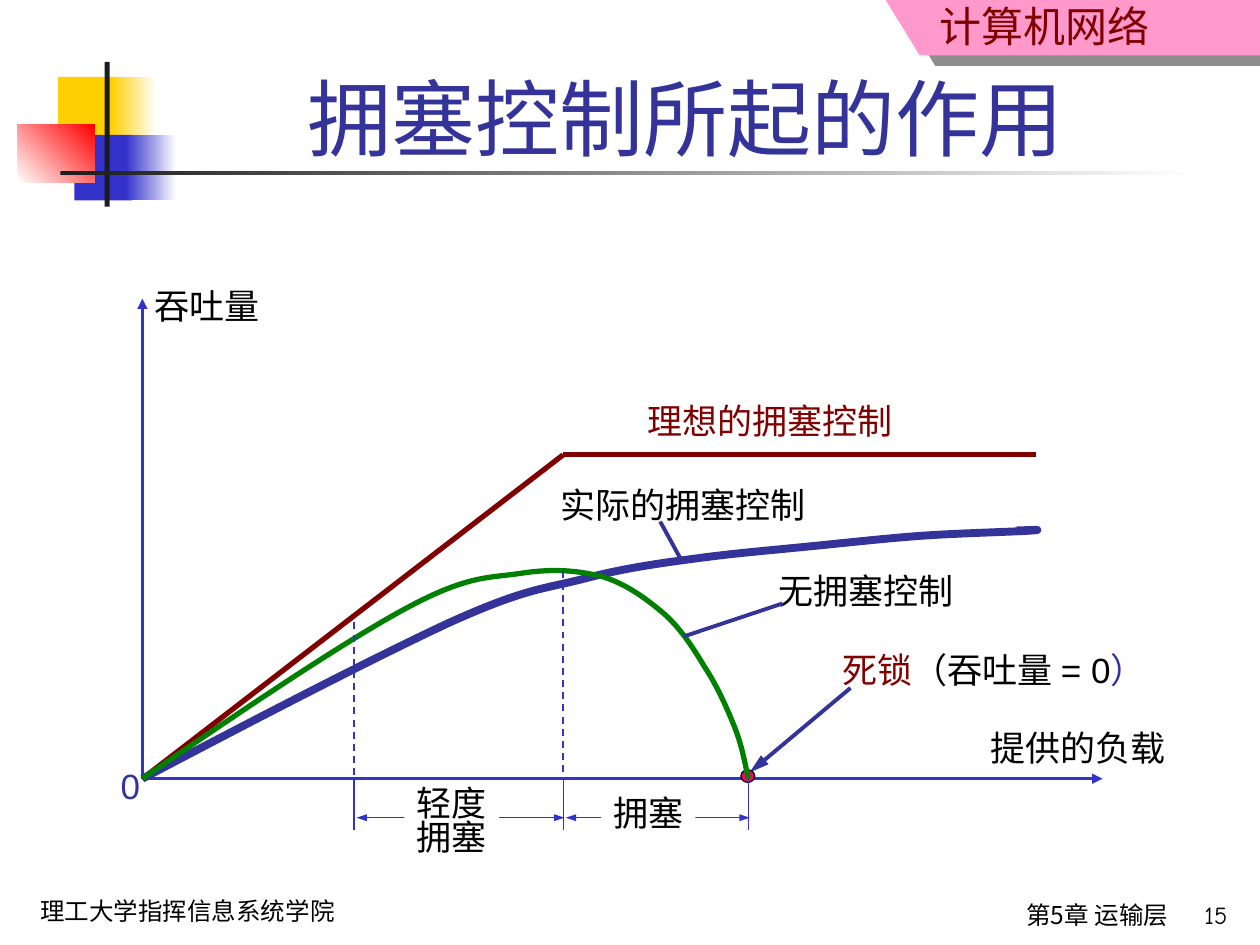
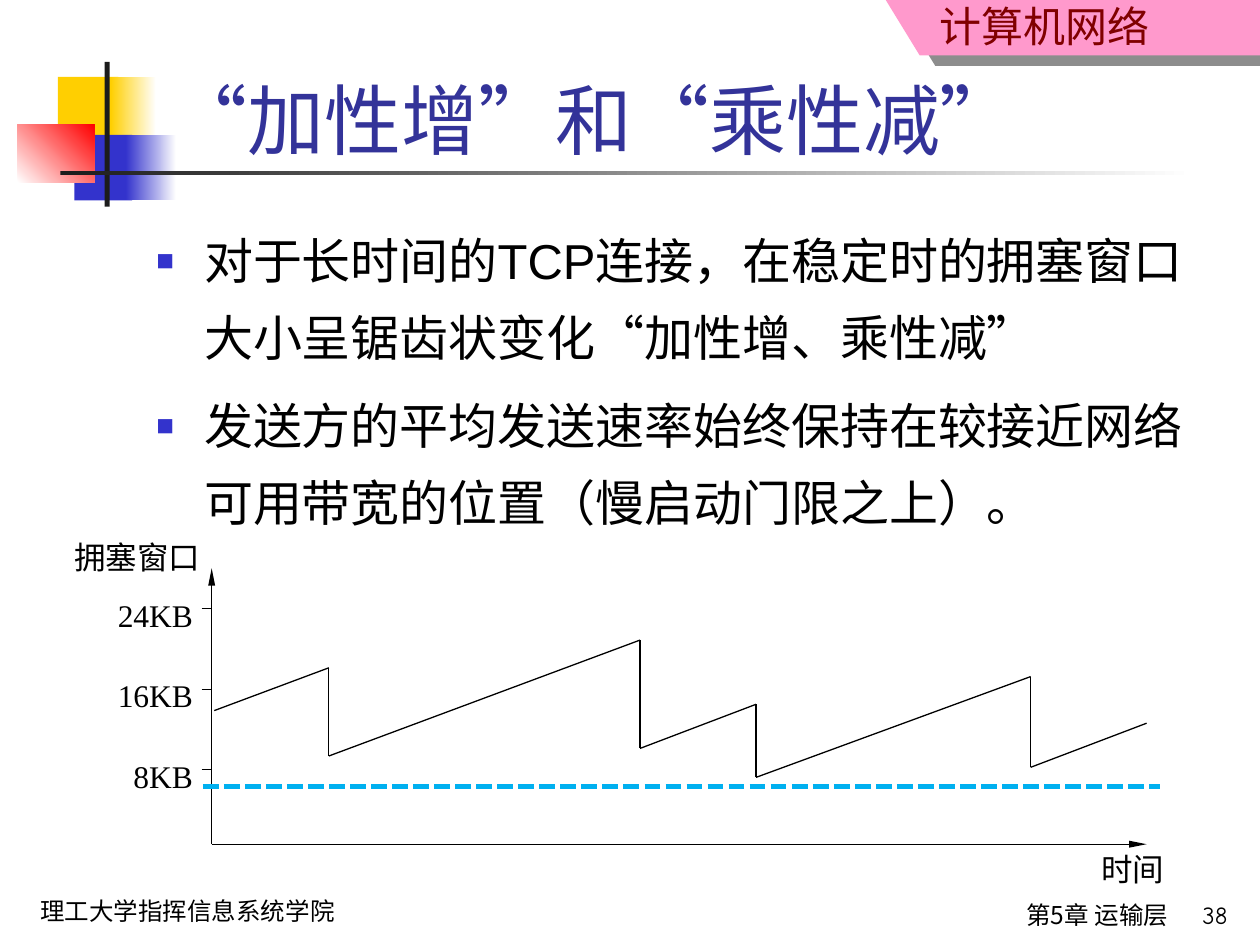
from dataclasses import dataclass
from itertools import chain, pairwise

from lxml import etree
from pptx import Presentation
from pptx import util as u
from pptx.dml.color import RGBColor
from pptx.enum import dml, shapes, text
from pptx.oxml import ns

Inches, Pt = u.Inches, u.Pt
LEFT, CENTER, RIGHT = text.PP_ALIGN.LEFT, text.PP_ALIGN.CENTER, text.PP_ALIGN.RIGHT


@dataclass(frozen=True)
class Theme:
    black: str = "000000"
    white: str = "FFFFFF"
    ink: str = "1C1C1C"
    pink: str = "FF99CC"
    maroon: str = "800000"
    indigo: str = "333399"
    blue: str = "3333CC"
    yellow: str = "FFCF01"
    red: str = "FF0000"
    green: str = "008000"
    rose: str = "FF0066"
    cyan: str = "00B0F0"
    sans: str = "Arial"
    cjk: str = "Noto Sans CJK SC"
    comic: str = "Comic Neue"
    serif: str = "Times New Roman"
    banner: int = 24
    body: int = 28
    label: int = 20
    axis: int = 18
    footer: int = 14
    hairline: float = 0.74


T = Theme()


# ---- Formatting helpers ----
def apply(target, formats):
    for name, value in formats.items():
        setattr(target, name, value)


def rgb(color):
    return RGBColor.from_string(color)


def add_xml(parent, tag, **attributes):
    return etree.SubElement(parent, ns.qn(tag), attributes)


def place(shape, box):
    apply(shape, dict(zip(("left", "top", "width", "height"), map(Inches, box))))


def write(frame, paragraphs, size, font=T.sans, color=T.black, align=LEFT, spacing=None):
    """Fill a frame; a paragraph is a string or a list of (text, colour) runs."""
    for index, content in enumerate(paragraphs):
        paragraph = frame.add_paragraph() if index else frame.paragraphs[0]
        apply(paragraph, {"alignment": align, "line_spacing": spacing})
        runs = [(content, color)] if isinstance(content, str) else content
        for words, run_color in runs:
            run = paragraph.add_run()
            run.text = words
            apply(run.font, {"size": Pt(size), "name": font})
            run.font.color.rgb = rgb(run_color)
            add_xml(run.font._element, "a:ea", typeface=T.cjk)


# ---- Kinds of element ----
def add_label(slide, box, *paragraphs, size=T.label, fill=None, top=0.05, align=LEFT, **style):
    """The inset on the ragged side is zero, so that a close-fitting line never breaks."""
    label = slide.shapes.add_textbox(*map(Inches, box))
    ragged = "margin_left" if align == RIGHT else "margin_right"
    apply(label.text_frame, {"word_wrap": True, "auto_size": text.MSO_AUTO_SIZE.NONE,
                             "margin_top": Inches(top), ragged: 0})
    write(label.text_frame, paragraphs, size, align=align, **style)
    if fill:
        label.fill.solid()
        label.fill.fore_color.rgb = rgb(fill)


def add_block(slide, box, *colors, angle=0, kind=shapes.MSO_SHAPE.RECTANGLE, outline=None):
    """One colour gives a solid fill, two a gradient."""
    block = slide.shapes.add_shape(kind, *map(Inches, box))
    block.shadow.inherit = False
    if len(colors) == 1:
        block.fill.solid()
        block.fill.fore_color.rgb = rgb(colors[0])
    else:
        block.fill.gradient()
        block.fill.gradient_angle = angle
        for stop, color in zip(block.fill.gradient_stops, colors):
            stop.color.rgb = rgb(color)
    if outline:
        block.line.color.rgb = rgb(outline)
        block.line.width = Pt(T.hairline)
    else:
        block.line.fill.background()


def add_line(slide, start, end, color=T.black, width=T.hairline, dash=None,
             arrows=(), head=("sm", "med")):
    """Arrows name the line ends; head is the arrowhead's width and length."""
    line = slide.shapes.add_connector(
        shapes.MSO_CONNECTOR.STRAIGHT, *map(Inches, (*start, *end)))
    line.line.color.rgb = rgb(color)
    apply(line.line, {"width": Pt(width), "dash_style": dash})
    add_xml(line._element.spPr, "a:effectLst")
    for arrow in arrows:
        add_xml(line.line._get_or_add_ln(), f"a:{arrow}End",
                type="triangle", w=head[0], len=head[1])


def add_outline(slide, points, closed):
    start, *rest = [(Inches(x), Inches(y)) for x, y in points]
    builder = slide.shapes.build_freeform(*start)
    builder.add_line_segments(rest, close=closed)
    outline = builder.convert_to_shape()
    outline.shadow.inherit = False
    return outline


def add_curve(slide, start, segments, color, width):
    """Draw a chain of cubic curves, each (control, control, end)."""
    curve = add_outline(slide, [start, *chain.from_iterable(segments)], closed=False)
    steps = list(curve._element.iter(ns.qn("a:lnTo")))
    for first in range(0, len(steps), 3):
        cubic = etree.Element(ns.qn("a:cubicBezTo"))
        steps[first].addprevious(cubic)
        for step in steps[first:first + 3]:
            cubic.append(step[0])
            step.getparent().remove(step)
    curve.fill.background()
    curve.line.color.rgb = rgb(color)
    curve.line.width = Pt(width)


def set_title(slide, words, box, size, align):
    title = slide.shapes.title
    place(title, box)
    apply(title.text_frame, {"vertical_anchor": text.MSO_ANCHOR.BOTTOM, "word_wrap": True,
                             "auto_size": text.MSO_AUTO_SIZE.NONE})
    write(title.text_frame, [words], size, color=T.indigo, align=align)


def set_bullets(slide, items, box):
    body = slide.placeholders[1]
    place(body, box)
    body.text_frame.auto_size = text.MSO_AUTO_SIZE.NONE
    write(body.text_frame, items, T.body, spacing=1.3)
    for paragraph in body.text_frame.paragraphs:
        paragraph.space_before = Pt(7)
        properties = paragraph._p.get_or_add_pPr()
        properties.set("marL", str(Inches(0.38)))
        properties.set("indent", str(-Inches(0.38)))
        add_xml(add_xml(properties, "a:buClr"), "a:srgbClr", val=T.blue)
        add_xml(properties, "a:buSzPct", val="60000")
        add_xml(properties, "a:buFont", typeface=T.sans)
        add_xml(properties, "a:buChar", char="■")


# ---- Shared frame of every slide ----
def add_banner(slide):
    banner = add_outline(slide, [(7.03, 0), (7.3, 0.44), (10, 0.44), (10, 0)], closed=True)
    banner.fill.solid()
    banner.fill.fore_color.rgb = rgb(T.pink)
    banner.line.fill.background()
    shadow = add_xml(banner._element.spPr.find(ns.qn("a:effectLst")), "a:outerShdw",
                     dist=str(Pt(10.8)), dir=str(34 * 60000), algn="ctr", rotWithShape="0")
    add_xml(add_xml(shadow, "a:srgbClr", val=T.ink), "a:alpha", val="50000")
    add_label(slide, (5.82, 0, 3.4, 0.45), "计算机网络", size=T.banner, top=0,
              font=T.cjk, color=T.maroon, align=RIGHT)


def add_frame(slide, number):
    add_banner(slide)
    # Coloured squares and the crossing rules
    add_block(slide, (0.46, 0.61, 0.48, 0.52), T.yellow)
    add_block(slide, (0.88, 0.61, 0.36, 0.52), T.yellow, T.white)
    add_block(slide, (0.59, 1.07, 0.46, 0.52), T.blue)
    add_block(slide, (1, 1.07, 0.4, 0.52), T.blue, T.white)
    add_block(slide, (0.14, 0.99, 0.61, 0.46), T.white, T.red, angle=45)
    add_block(slide, (0.83, 0.49, 0.04, 1.15), T.ink)
    add_block(slide, (0.48, 1.36, 9, 0.03), T.ink, T.white)
    # Footer
    add_label(slide, (0.22, 7.06, 3.11, 0.34), "理工大学指挥信息系统学院",
              size=T.footer, font=T.comic)
    add_label(slide, (4.29, 7.09, 5.08, 0.41), "第5章 运输层",
              size=T.footer, font=T.cjk, align=RIGHT)
    add_label(slide, (9.05, 7.09, 0.79, 0.38), number,
              size=T.footer, font=T.comic, align=RIGHT)


# ---- Slide: effect of congestion control ----
def build_throughput(slide):
    add_frame(slide, "15")
    set_title(slide, "拥塞控制所起的作用", (1.18, 0.23, 8.52, 1.15), 48, CENTER)
    origin, base = (1.13, 6.18), 6.18
    light, heavy, deadlock = 2.81, 4.47, 5.94

    # Axes
    for end in ((1.13, 2.37), (8.75, base)):
        add_line(slide, origin, end, T.blue, 1.5, arrows=["tail"], head=("med", "med"))
    add_label(slide, (7.76, 5.72, 1.59, 0.44), "提供的负载")
    add_label(slide, (1.13, 2.21, 1.03, 0.44), "吞吐量")
    add_label(slide, (0.86, 6.02, 0.35, 0.44), "0", color=T.indigo)

    # Ideal control
    for start, end in pairwise([origin, (heavy, 3.61), (8.22, 3.61)]):
        add_line(slide, start, end, T.maroon, 3)
    add_label(slide, (5.04, 3.12, 2.15, 0.44), "理想的拥塞控制", color=T.maroon)

    # Real control
    add_curve(slide, origin, [
        ((2.06, 5.69), (2.99, 5.21), (3.57, 4.94)),
        ((4.15, 4.68), (4.28, 4.68), (4.61, 4.6)),
        ((4.94, 4.51), (5.24, 4.47), (5.54, 4.43)),
        ((5.84, 4.39), (6.09, 4.37), (6.39, 4.34)),
        ((6.7, 4.31), (7.05, 4.27), (7.35, 4.25)),
        ((7.65, 4.23), (8.08, 4.22), (8.2, 4.21)),
        ((8.32, 4.2), (8.09, 4.21), (8.07, 4.21)),
    ], T.indigo, 4.5)
    add_label(slide, (4.35, 3.79, 2.15, 0.44), "实际的拥塞控制")
    add_line(slide, (5.24, 4.14), (5.41, 4.45), T.indigo, 2.25)

    # Deadlock point
    add_label(slide, (6.59, 5.1, 2.74, 0.44),
              [("死锁", T.maroon), ("（吞吐量 = 0", T.black), ("）", T.indigo)])
    add_line(slide, (6.75, 5.46), (5.95, 6.13), T.indigo, 2.25,
             arrows=["tail"], head=("med", "lg"))
    add_block(slide, (5.88, 6.11, 0.11, 0.1), T.rose,
              kind=shapes.MSO_SHAPE.OVAL, outline=T.black)

    # Load ranges below the axis
    for left, right in pairwise((light, heavy, deadlock)):
        add_line(slide, (left + 0.02, 6.49), (right + 0.01, 6.49), T.blue,
                 arrows=["head", "tail"])

    # No control
    add_curve(slide, origin, [
        ((1.92, 5.64), (2.72, 5.1), (3.22, 4.83)),
        ((3.72, 4.56), (3.88, 4.59), (4.14, 4.55)),
        ((4.4, 4.51), (4.6, 4.53), (4.79, 4.58)),
        ((4.98, 4.64), (5.14, 4.76), (5.28, 4.88)),
        ((5.41, 5), (5.5, 5.14), (5.59, 5.29)),
        ((5.69, 5.44), (5.77, 5.62), (5.83, 5.77)),
        ((5.89, 5.92), (5.91, 6.05), (deadlock, base)),
    ], T.green, 3)
    add_label(slide, (6.08, 4.47, 1.59, 0.44), "无拥塞控制")
    add_line(slide, (6.21, 4.79), (5.43, 5.05), T.indigo, 2.25)

    # Range limits and names
    for x, top in ((light, 4.94), (heavy, 4.53)):
        add_line(slide, (x, top), (x, base), T.blue, 1, dash=dml.MSO_LINE.DASH)
    for x in (light, heavy, deadlock):
        add_line(slide, (x, base), (x, 6.59), T.blue)
    add_label(slide, (4.77, 6.23, 0.75, 0.44), "拥塞", fill=T.white)
    add_label(slide, (3.21, 6.22, 0.75, 0.64), "轻度", "拥塞", fill=T.white, spacing=0.8)


# ---- Slide: additive increase, multiplicative decrease ----
def build_sawtooth(slide):
    add_frame(slide, "38")
    set_title(slide, "“加性增”和“乘性减”", (1.25, 0.21, 8.52, 1.15), 44, LEFT)
    set_bullets(slide, [
        "对于长时间的TCP连接，在稳定时的拥塞窗口大小呈锯齿状变化“加性增、乘性减”",
        "发送方的平均发送速率始终保持在较接近网络可用带宽的位置（慢启动门限之上）。",
    ], (1.14, 1.64, 8.5, 5.28))

    # Axes and ticks
    corner = (1.68, 6.7)
    for end in ((1.68, 4.51), (9.1, 6.7)):
        add_line(slide, corner, end, arrows=["tail"], head=("sm", "lg"))
    add_label(slide, (0.49, 4.22, 1.2, 0.4), "拥塞窗口", size=T.axis, font=T.cjk)
    add_label(slide, (8.64, 6.7, 0.7, 0.4), "时间", size=T.axis, font=T.cjk)
    for index, (size, width) in enumerate((("24KB", 0.79), ("16KB", 0.79), ("8KB", 0.67))):
        y = 4.83 + 0.64 * index
        add_line(slide, (1.6, y), (1.68, y))
        add_label(slide, (1.63 - width, y - 0.15, width, 0.4), size, size=T.axis,
                  font=T.serif, align=RIGHT)

    # Window size over time, and the slow start threshold
    window = [(1.7, 5.64), (2.61, 5.3), (2.61, 6), (5.08, 5.08), (5.08, 5.94),
              (6, 5.59), (6, 6.17), (8.18, 5.37), (8.18, 6.09), (9.1, 5.74)]
    for start, end in pairwise(window):
        add_line(slide, start, end)
    add_line(slide, (1.61, 6.24), (9.21, 6.24), T.cyan, 3, dash=dml.MSO_LINE.SQUARE_DOT)


def main():
    deck = Presentation()
    apply(deck, {"slide_width": Inches(10), "slide_height": Inches(7.5)})
    for layout, build in (("Title Only", build_throughput),
                          ("Title and Content", build_sawtooth)):
        build(deck.slides.add_slide(deck.slide_layouts.get_by_name(layout)))
    deck.save("out.pptx")


main()
